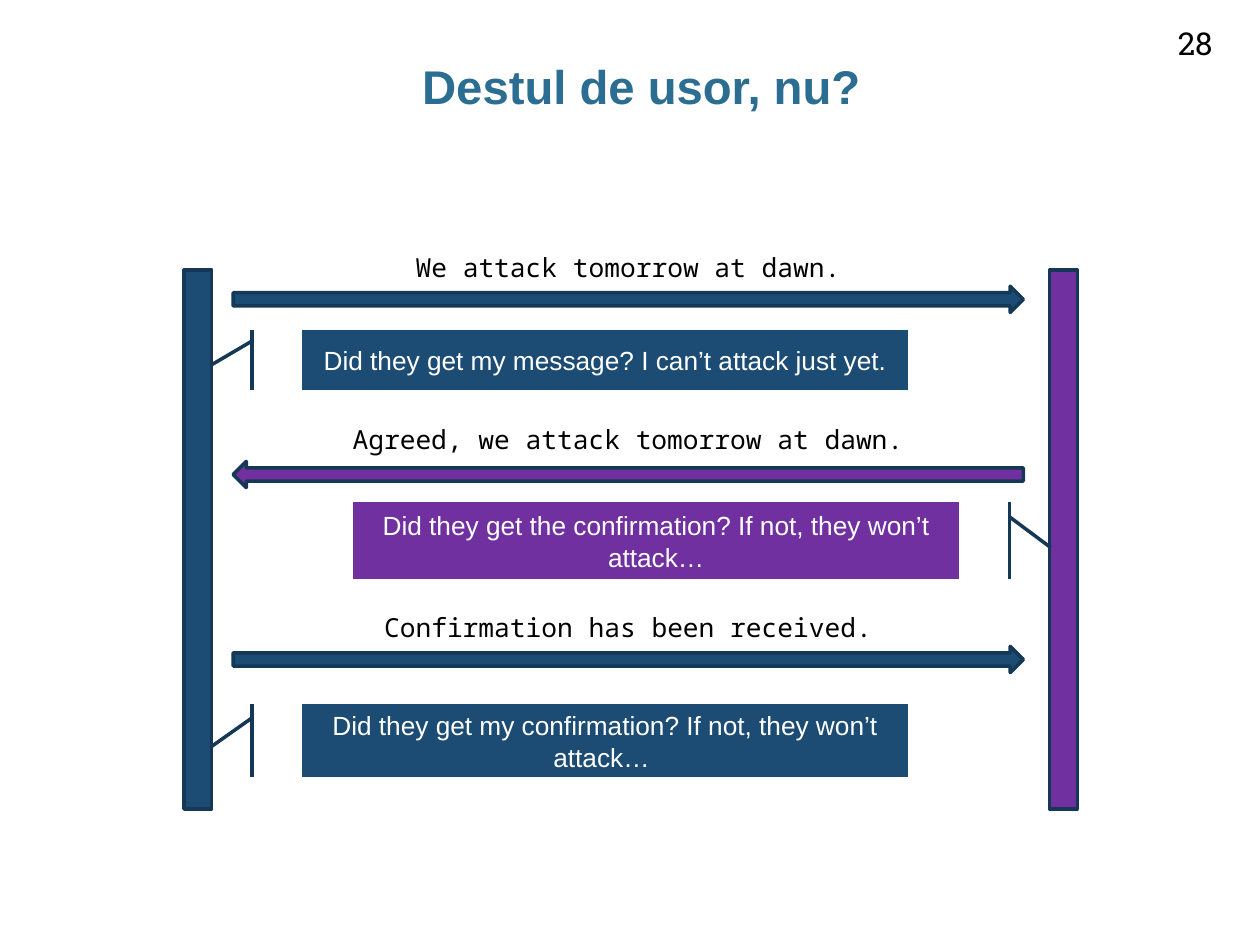
from pptx import Presentation
from pptx.dml.color import RGBColor
from pptx.enum.shapes import MSO_SHAPE
from pptx.enum.text import MSO_ANCHOR, PP_ALIGN
from pptx.util import Cm, Pt

RECTANGLE = MSO_SHAPE.RECTANGLE
ARROW = MSO_SHAPE.RIGHT_ARROW
CALLOUT = MSO_SHAPE.LINE_CALLOUT_1_ACCENT_BAR
TOP, MIDDLE, BOTTOM = MSO_ANCHOR.TOP, MSO_ANCHOR.MIDDLE, MSO_ANCHOR.BOTTOM

THEME = {
    "title": "2C6D92", "ink": "000000", "light": "FFFFFF", "outline": "153856",
    "left": "1C4C74", "right": "7030A0",
    "title_size": 27, "number_size": 18, "body_size": 15, "line_width": 2,
    "sans": "Arial", "mono": "Noto Sans Mono", "slab": "Roboto Slab",
}

TITLE = "Destul de usor, nu?"
PAGE_NUMBER = "28"

# Lengths in centimetres; every message is followed by its sender's doubt.
EXCHANGES = [
    {"sender": "left", "message": "We attack tomorrow at dawn.",
     "message_top": 4.95, "arrow_top": 5.77,
     "doubt": "Did they get my message? I can’t attack just yet.",
     "doubt_top": 6.65, "doubt_height": 1.22},
    {"sender": "right", "message": "Agreed, we attack tomorrow at dawn.",
     "message_top": 8.41, "arrow_top": 9.3,
     "doubt": "Did they get the confirmation? If not, they won’t attack…",
     "doubt_top": 10.13, "doubt_height": 1.55},
    {"sender": "left", "message": "Confirmation has been received.",
     "message_top": 12.19, "arrow_top": 13.03,
     "doubt": "Did they get my confirmation? If not, they won’t attack… ",
     "doubt_top": 14.2, "doubt_height": 1.47},
]

BAR_LEFT = {"left": 3.71, "right": 21.16}
BAR_TOP, BAR_WIDTH, BAR_HEIGHT = 5.44, 0.56, 10.87
LANE_LEFT, LANE_WIDTH = 4.7, 15.93
ARROW_HEIGHT, MESSAGE_HEIGHT = 0.53, 0.89
DOUBT_WIDTH, DOUBT_GAP = 12.22, 1.82
DOUBT_LEFT = {
    "left": BAR_LEFT["left"] + BAR_WIDTH + DOUBT_GAP,
    "right": BAR_LEFT["right"] - DOUBT_GAP - DOUBT_WIDTH,
}
CALLOUT_POINTS = (0.188, -0.083, 0.588, -0.151)


def write(box, text, *, size, font, color, bold=False, anchor=TOP, spacing=None):
    frame = box.text_frame
    frame.word_wrap = True
    frame.vertical_anchor = anchor
    para = frame.paragraphs[0]
    para.alignment = PP_ALIGN.CENTER
    if spacing:
        para.line_spacing = spacing
    span = para.add_run()
    span.text = text
    span.font.size = Pt(size)
    span.font.name = font
    span.font.bold = bold
    span.font.color.rgb = RGBColor.from_string(color)


def add_text(page, place, text, **style):
    box = page.shapes.add_textbox(*map(Cm, place))
    write(box, text, **style)
    return box


def add_outlined(page, kind, place, side):
    """Add a shape in the colour of the given side."""
    shape = page.shapes.add_shape(kind, *map(Cm, place))
    shape.shadow.inherit = False
    shape.fill.solid()
    shape.fill.fore_color.rgb = RGBColor.from_string(THEME[side])
    shape.line.color.rgb = RGBColor.from_string(THEME["outline"])
    shape.line.width = Pt(THEME["line_width"])
    return shape


def add_exchange(page, exchange):
    side = exchange["sender"]
    arrow = add_outlined(
        page, ARROW, (LANE_LEFT, exchange["arrow_top"], LANE_WIDTH, ARROW_HEIGHT), side)
    add_text(page, (LANE_LEFT, exchange["message_top"], LANE_WIDTH, MESSAGE_HEIGHT),
             exchange["message"], size=THEME["body_size"], font=THEME["mono"],
             color=THEME["ink"])
    doubt = add_outlined(
        page, CALLOUT, (DOUBT_LEFT[side], exchange["doubt_top"], DOUBT_WIDTH,
                        exchange["doubt_height"]), side)
    for index, value in enumerate(CALLOUT_POINTS):
        doubt.adjustments[index] = value
    write(doubt, exchange["doubt"], size=THEME["body_size"], font=THEME["sans"],
          color=THEME["light"], anchor=MIDDLE)
    if side == "right":
        arrow.rotation = 180
        doubt.element.spPr.xfrm.set("flipH", "1")


def main():
    deck = Presentation()
    deck.slide_width, deck.slide_height = Cm(25.4), Cm(19.05)
    page = deck.slides.add_slide(deck.slide_layouts[6])

    title = add_text(page, (0.94, 0.99, 23.98, 2.01), TITLE, size=THEME["title_size"],
                     font=THEME["sans"], color=THEME["title"], bold=True, spacing=0.95)
    title.text_frame.margin_top = title.text_frame.margin_bottom = Cm(0.25)
    add_text(page, (23.27, 0.36, 1.65, 1.02), PAGE_NUMBER, size=THEME["number_size"],
             font=THEME["slab"], color=THEME["ink"], anchor=BOTTOM)

    for side, left in BAR_LEFT.items():
        add_outlined(page, RECTANGLE, (left, BAR_TOP, BAR_WIDTH, BAR_HEIGHT), side)
    for exchange in EXCHANGES:
        add_exchange(page, exchange)

    deck.save("out.pptx")


if __name__ == "__main__":
    main()
